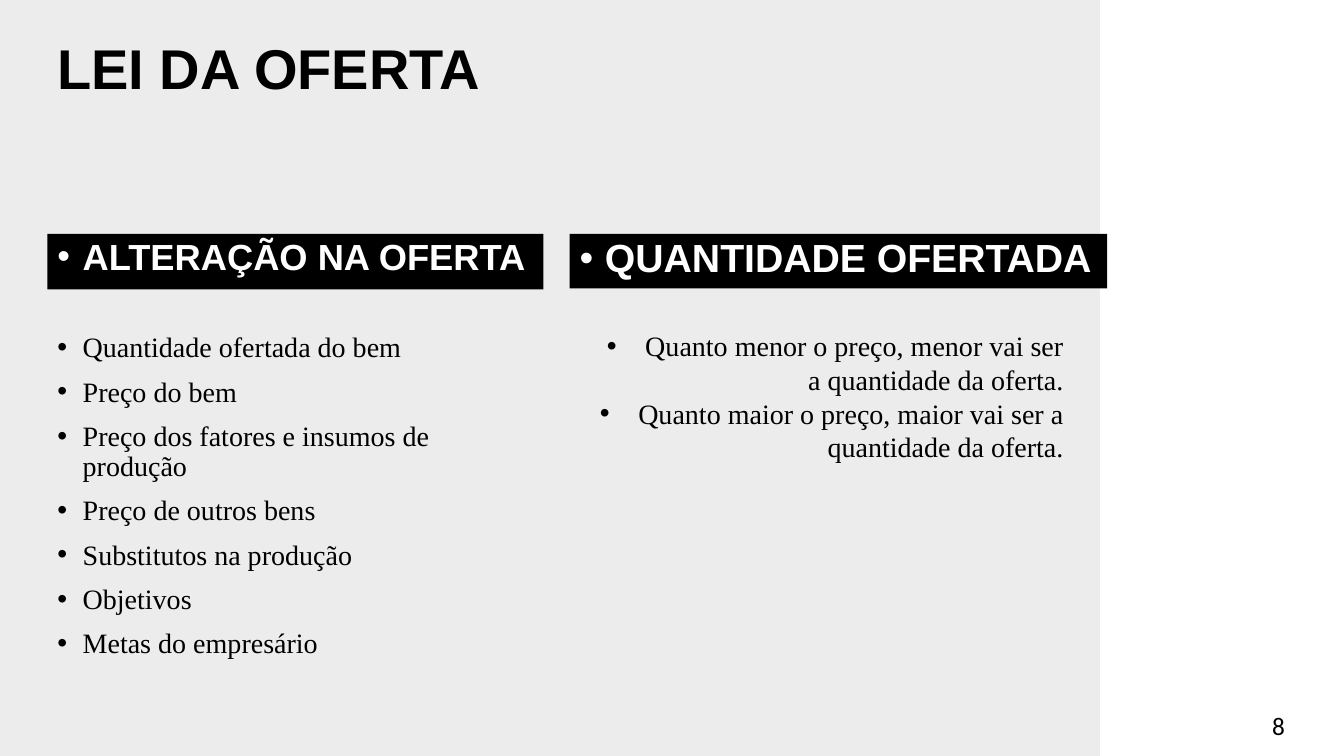
import pptx
import pptx.dml.color
import pptx.enum.shapes
import pptx.enum.text
import pptx.util
from lxml import etree
from pptx.oxml.ns import qn

Inches = pptx.util.Inches
ALIGN = pptx.enum.text.PP_ALIGN
ANCHOR = pptx.enum.text.MSO_ANCHOR

LEFT_MARGIN = 0.47
COLUMN_WIDTH = 4.92
HEADING_TOP = 2.32

SUPPLY_FACTORS = [
    "Quantidade ofertada do bem",
    "Preço do bem",
    "Preço dos fatores e insumos de produção",
    "Preço de outros bens",
    "Substitutos na produção",
    "Objetivos",
    "Metas do empresário",
]
PRICE_EFFECTS = [
    "Quanto menor o preço, menor vai ser a quantidade da oferta.",
    "Quanto maior o preço, maior vai ser a quantidade da oferta.",
]


def color(hex_string):
    return pptx.dml.color.RGBColor.from_string(hex_string)


def add_bullet(paragraph, indent):
    properties = paragraph._p.get_or_add_pPr()
    properties.set("marL", str(Inches(indent)))
    properties.set("indent", str(-Inches(indent)))
    etree.SubElement(properties, qn("a:buFont")).set("typeface", "Arial")
    etree.SubElement(properties, qn("a:buChar")).set("char", "•")


def write_text(shape, lines, font="Times New Roman", size=20, ink="000000", bold=False,
               align=ALIGN.LEFT, anchor=ANCHOR.TOP, spacing=0.9, before=0, indent=0):
    """Fill a shape with one paragraph per line; a positive indent adds bullets."""
    frame = shape.text_frame
    frame.text = "\n".join(lines)
    frame.word_wrap = True
    frame.auto_size = pptx.enum.text.MSO_AUTO_SIZE.NONE
    frame.vertical_anchor = anchor
    for paragraph in frame.paragraphs:
        paragraph.alignment = align
        paragraph.line_spacing = spacing
        paragraph.space_before = pptx.util.Pt(before)
        if indent:
            add_bullet(paragraph, indent)
        for run in paragraph.runs:
            run.font.name = font
            run.font.size = pptx.util.Pt(size)
            run.font.bold = bold
            run.font.color.rgb = color(ink)


class SlideBuilder:
    display_font = "Arial"
    number_font = "Calibri"
    panel_fill = "ECECEC"
    heading_fill = "000000"
    heading_ink = "FFFFFF"

    def __init__(self, presentation):
        comparison_layout = presentation.slide_layouts[4]
        self.slide = presentation.slides.add_slide(comparison_layout)

    def place(self, index, box):
        """Move the placeholder with this index to the box and return it."""
        shape = self.slide.placeholders[index]
        shape.left, shape.top, shape.width, shape.height = map(Inches, box)
        return shape

    def panel(self, box):
        """Add a plain rectangle behind the placeholders."""
        rectangle = pptx.enum.shapes.MSO_SHAPE.RECTANGLE
        shape = self.slide.shapes.add_shape(rectangle, *map(Inches, box))
        shape.shadow.inherit = False
        shape.fill.solid()
        shape.fill.fore_color.rgb = color(self.panel_fill)
        shape.line.fill.background()
        shape.element.getparent().insert(2, shape.element)

    def title(self, text, box):
        write_text(self.place(0, box), [text], font=self.display_font, size=40,
                   bold=True, anchor=ANCHOR.MIDDLE)

    def heading(self, index, text, box, size):
        shape = self.place(index, box)
        shape.fill.solid()
        shape.fill.fore_color.rgb = color(self.heading_fill)
        write_text(shape, [text], font=self.display_font, size=size, bold=True,
                   ink=self.heading_ink, before=10, indent=0.25)

    def bullets(self, index, lines, box, **text_format):
        write_text(self.place(index, box), lines, **text_format)

    def page_number(self, text, box):
        shape = self.slide.shapes.add_textbox(*map(Inches, box))
        write_text(shape, [text], font=self.number_font, size=18, spacing=1)


def main():
    presentation = pptx.Presentation()
    presentation.slide_width = Inches(13.33)
    presentation.slide_height = Inches(7.5)

    builder = SlideBuilder(presentation)
    builder.panel((0, 0, 10.91, 7.5))
    builder.title("LEI DA OFERTA", (LEFT_MARGIN, 0.47, 10.35, 0.47))
    builder.heading(1, "ALTERAÇÃO NA OFERTA",
                    (LEFT_MARGIN, HEADING_TOP, COLUMN_WIDTH, 0.55), size=25.9)
    builder.bullets(2, SUPPLY_FACTORS, (LEFT_MARGIN, 3.26, COLUMN_WIDTH, 2.76),
                    before=10, indent=0.25)
    builder.heading(3, "QUANTIDADE OFERTADA", (5.65, HEADING_TOP, 5.33, 0.54), size=28)
    builder.bullets(4, PRICE_EFFECTS, (5.73, 2.86, COLUMN_WIDTH, 2.14),
                    align=ALIGN.RIGHT, anchor=ANCHOR.MIDDLE, spacing=1, indent=0.38)
    builder.page_number("8", (12.52, 7, 0.3, 0.3))

    presentation.save("out.pptx")


if __name__ == "__main__":
    main()
